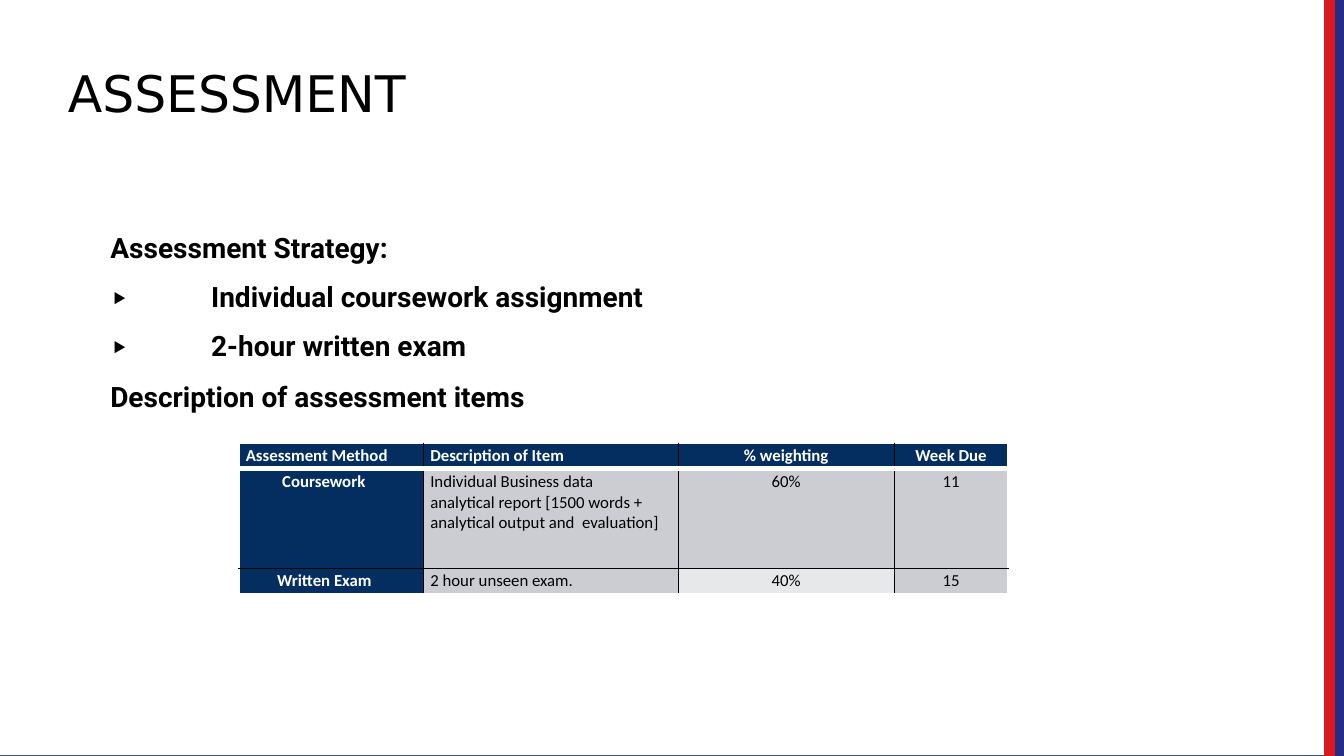
import pptx
import pptx.util
import pptx.dml.color
import pptx.enum.shapes
import pptx.enum.text
import pptx.oxml
import pptx.oxml.ns

Pt = pptx.util.Pt
ALIGN = pptx.enum.text.PP_ALIGN
COLORS = {
    "black": "000000", "white": "FFFFFF", "navy": "042E60",
    "gray": "CCCDD2", "light": "E7E8EA", "red": "DA1820",
    "blue": "232D82", "outline": "31538F",
}


def rgb(name):
    return pptx.dml.color.RGBColor.from_string(COLORS[name])


def style(paragraph, font_name, size, color, bold):
    font = paragraph.font
    font.name = font_name
    font.size = Pt(size)
    font.bold = bold
    font.color.rgb = rgb(color)


presentation = pptx.Presentation()
presentation.slide_width = Pt(960)
presentation.slide_height = Pt(540)
slide = presentation.slides.add_slide(presentation.slide_layouts[5])

for left, top, width, fill, line in [
    (-6.5, -1, 953, "white", "outline"),
    (953.3, 0, 6.7, "blue", "blue"),
    (946.5, 0, 6.8, "red", "red"),
]:
    shape = slide.shapes.add_shape(
        pptx.enum.shapes.MSO_SHAPE.RECTANGLE, Pt(left), Pt(top), Pt(width), Pt(540 - top))
    shape.shadow.inherit = False
    shape.fill.solid()
    shape.fill.fore_color.rgb = rgb(fill)
    shape.line.color.rgb = rgb(line)
    shape.line.width = Pt(1)

title = slide.shapes.title
slide.shapes._spTree.append(title._element)
strategy = slide.shapes.add_textbox(0, 0, 0, 0)
description = slide.shapes.add_textbox(0, 0, 0, 0)
for shape, left, top, width, height, inset, text in [
    (title, 47.5, 43.2, 301.7, 44.6, 0.8, "ASSESSMENT"),
    (strategy, 77.8, 152.6, 437.8, 107.3, 12.2,
     "Assessment Strategy:\n⯈\tIndividual coursework assignment\n⯈\t2-hour written exam"),
    (description, 77.8, 270, 307.4, 25.9, 0.8, "Description of assessment items"),
]:
    shape.left, shape.top = Pt(left), Pt(top)
    shape.width, shape.height = Pt(width), Pt(height)
    frame = shape.text_frame
    frame.word_wrap = True
    frame.auto_size = pptx.enum.text.MSO_AUTO_SIZE.NONE
    frame.margin_left = Pt(1)
    frame.margin_right = frame.margin_bottom = 0
    frame.margin_top = Pt(inset)
    for index, line in enumerate(text.split("\n")):
        paragraph = frame.add_paragraph() if index else frame.paragraphs[0]
        paragraph.alignment = ALIGN.LEFT
        style(paragraph, "Roboto", 20, "black", True)
        marker, tab, wording = line.rpartition("\t")
        if marker:
            paragraph.space_before = Pt(11)
            properties = paragraph._p.get_or_add_pPr()
            properties.set("marL", str(Pt(72)))
            properties.set("indent", str(-Pt(72)))
            marker_run = paragraph.add_run()
            marker_run.text = marker + tab
            marker_run.font.name = "Roboto"
            marker_run.font.size = Pt(16)
            marker_run.font.bold = False
        paragraph.add_run().text = wording

title.text_frame.vertical_anchor = pptx.enum.text.MSO_ANCHOR.BOTTOM
style(title.text_frame.paragraphs[0], "DejaVu Sans", 36, "black", False)

rows = [
    ["Assessment Method", "Description of Item", "% weighting", "Week Due"],
    ["Coursework",
     "Individual Business data\nanalytical report [1500 words + analytical output and  evaluation]",
     "60%", "11"],
    ["Written Exam", "2 hour unseen exam.", "40%", "15"],
]
column_widths = [131.8, 182.2, 154.1, 81.4]
row_heights = [18, 71.3, 18]
first_column_indents = [5, 31, 27.4]
row_borders = [("white", 1.5), ("white", 4.25), ("black", 1), ("white", 1.5)]
column_borders = [("white", 1.5)] + [("black", 1)] * 3 + [("white", 1.5)]

table = slide.shapes.add_table(
    3, 4, Pt(170.6), Pt(316.8), Pt(sum(column_widths)), Pt(sum(row_heights))).table
table.horz_banding = False
for column, width in zip(table.columns, column_widths):
    column.width = Pt(width)

for r, texts in enumerate(rows):
    table.rows[r].height = Pt(row_heights[r])
    for c, text in enumerate(texts):
        cell = table.cell(r, c)
        heading = r == 0 or c == 0
        fill = "navy" if heading else "light" if (r, c) == (2, 2) else "gray"
        cell.fill.solid()
        cell.fill.fore_color.rgb = rgb(fill)
        cell.margin_left = Pt([first_column_indents[r], 5, 0, 0][c])
        cell.margin_right = cell.margin_top = cell.margin_bottom = 0
        cell.text = text
        for index, paragraph in enumerate(cell.text_frame.paragraphs):
            paragraph.alignment = ALIGN.CENTER if c > 1 else ALIGN.LEFT
            paragraph.line_spacing = 1.0 if index else 1.15 if r == 1 else 1.12
            style(paragraph, "Calibri", 12, "white" if heading else "black", heading)
        borders = [("lnL", column_borders[c]), ("lnR", column_borders[c + 1]),
                   ("lnT", row_borders[r]), ("lnB", row_borders[r + 1])]
        for index, (tag, (color, width)) in enumerate(borders):
            border = pptx.oxml.parse_xml(
                f'<a:{tag} {pptx.oxml.ns.nsdecls("a")} w="{Pt(width)}"><a:solidFill>'
                f'<a:srgbClr val="{COLORS[color]}"/></a:solidFill></a:{tag}>')
            cell._tc.get_or_add_tcPr().insert(index, border)

presentation.save("out.pptx")
